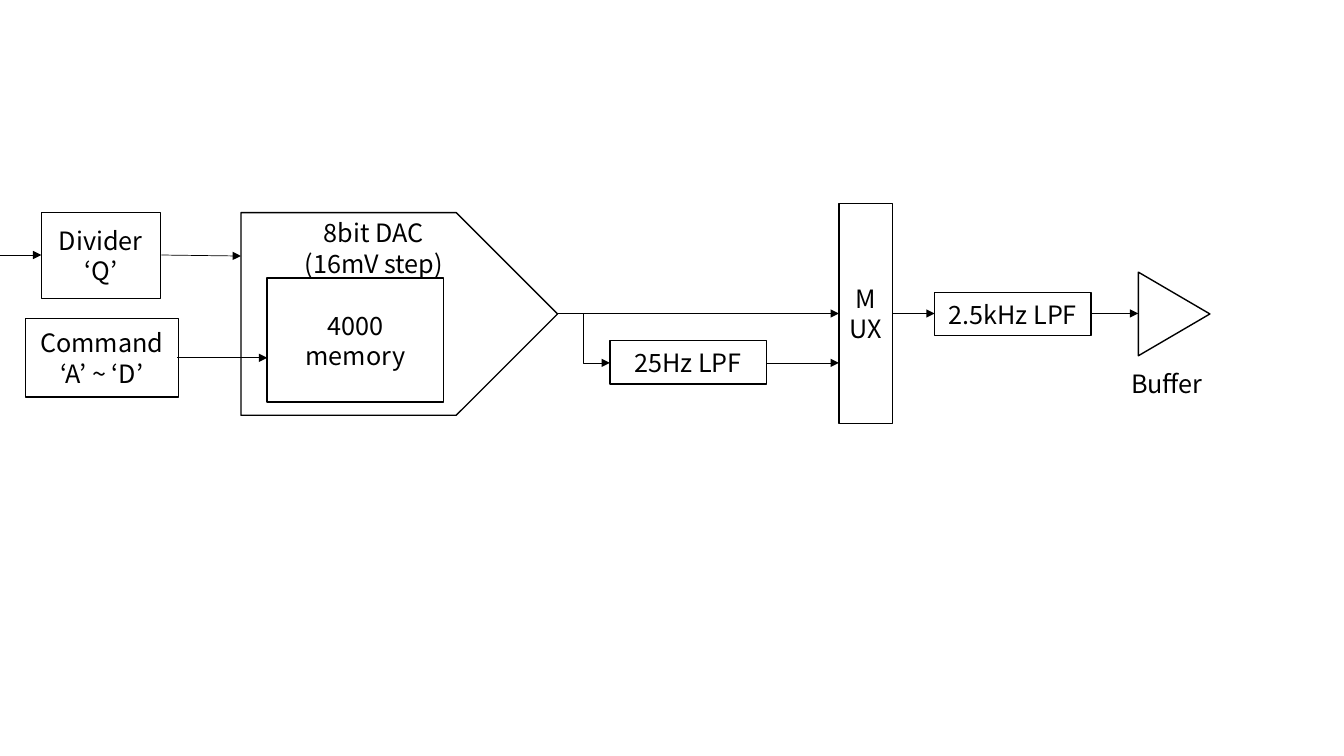
from pptx import Presentation
from pptx.dml.color import RGBColor
from pptx.enum import shapes, text
from pptx.oxml.ns import qn
from pptx.util import Inches, Pt
from lxml import etree

BLACK = RGBColor(0, 0, 0)
WHITE = RGBColor(255, 255, 255)
FONT = "Noto Sans CJK JP"
SIGNAL_Y = 3.11
FILTER_Y = 3.6
DIVIDER_Y = 2.53
COMMAND_Y = 3.55


def write(shape, lines, align, anchor):
    frame = shape.text_frame
    frame.word_wrap = True
    frame.vertical_anchor = anchor
    frame.text = lines
    for para in frame.paragraphs:
        para.alignment = align
        for span in para.runs:
            span.font.name = FONT
            span.font.size = Pt(18)
            span.font.color.rgb = BLACK


def add_block(page, kind, left, top, width, height, lines="",
              anchor=text.MSO_ANCHOR.MIDDLE):
    block = page.shapes.add_shape(
        kind, Inches(left), Inches(top), Inches(width), Inches(height))
    block.shadow.inherit = False
    block.fill.solid()
    block.fill.fore_color.rgb = WHITE
    block.line.color.rgb = BLACK
    block.line.width = Pt(1)
    if lines:
        write(block, lines, text.PP_ALIGN.CENTER, anchor)
    return block


def add_box(page, *place_and_lines):
    return add_block(page, shapes.MSO_SHAPE.RECTANGLE, *place_and_lines)


def add_arrow(page, x1, y1, x2, y2, kind=shapes.MSO_CONNECTOR.STRAIGHT):
    arrow = page.shapes.add_connector(
        kind, Inches(x1), Inches(y1), Inches(x2), Inches(y2))
    arrow.line.color.rgb = BLACK
    arrow.line.width = Pt(0.5)
    etree.SubElement(arrow.line._get_or_add_ln(), qn("a:tailEnd"), type="triangle")
    etree.SubElement(arrow._element.spPr, qn("a:effectLst"))


def add_label(page, left, top, width, height, lines):
    label = page.shapes.add_textbox(
        Inches(left), Inches(top), Inches(width), Inches(height))
    write(label, lines, text.PP_ALIGN.LEFT, text.MSO_ANCHOR.TOP)
    label.text_frame.auto_size = text.MSO_AUTO_SIZE.SHAPE_TO_FIT_TEXT


def main():
    deck = Presentation()
    deck.slide_width = Inches(13.33)
    deck.slide_height = Inches(7.5)
    page = deck.slides.add_slide(deck.slide_layouts[6])

    add_block(page, shapes.MSO_SHAPE.PENTAGON, 2.39, 2.11, 3.14, 2.01,
              "8bit DAC\n(16mV step)", text.MSO_ANCHOR.TOP)
    add_box(page, 2.65, 2.76, 1.75, 1.23, "4000 memory")
    add_box(page, 0.41, 2.11, 1.18, 0.85, "Divider\n‘Q’")
    add_box(page, 0.25, 3.16, 1.52, 0.78, "Command\n‘A’ ~ ‘D’")
    add_box(page, 6.05, 3.38, 1.55, 0.43, "25Hz LPF")
    add_box(page, 8.32, 2.02, 0.53, 2.18, "MUX")
    add_box(page, 9.27, 2.9, 1.55, 0.43, "2.5kHz LPF")

    add_arrow(page, -0.12, DIVIDER_Y, 0.41, DIVIDER_Y)
    add_arrow(page, 1.6, DIVIDER_Y, 2.39, 2.54)
    add_arrow(page, 1.76, COMMAND_Y, 2.65, COMMAND_Y)
    add_arrow(page, 5.52, SIGNAL_Y, 6.05, FILTER_Y, shapes.MSO_CONNECTOR.ELBOW)
    add_arrow(page, 7.6, FILTER_Y, 8.32, FILTER_Y)
    for start, end in ((5.52, 8.32), (8.85, 9.27), (10.82, 11.29)):
        add_arrow(page, start, SIGNAL_Y, end, SIGNAL_Y)

    buffer = add_block(page, shapes.MSO_SHAPE.ISOSCELES_TRIANGLE,
                       11.23, 2.76, 0.83, 0.71)
    buffer.rotation = 90
    add_label(page, 11.12, 3.61, 1.04, 0.4, "Buffer")

    deck.save("out.pptx")


if __name__ == "__main__":
    main()
